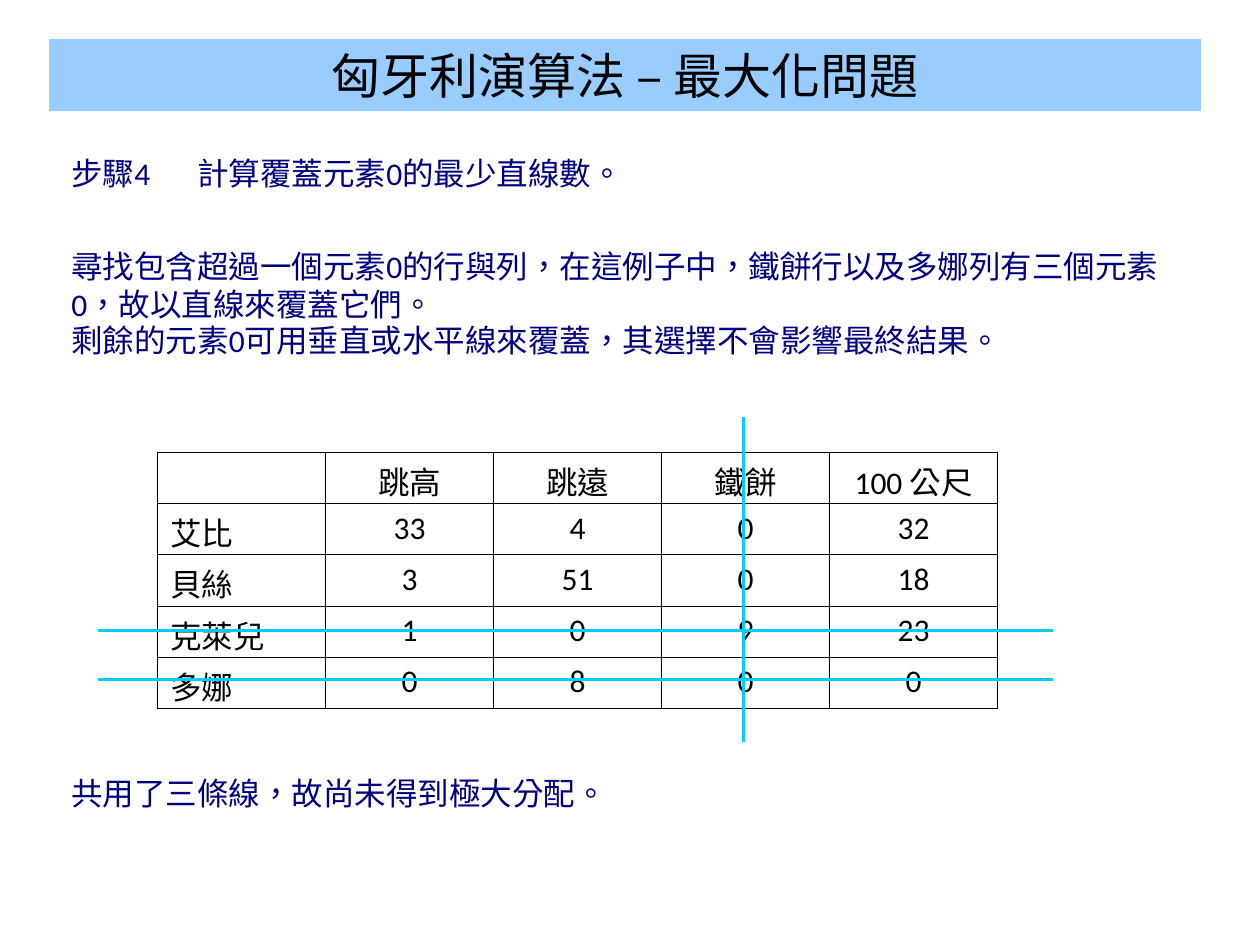
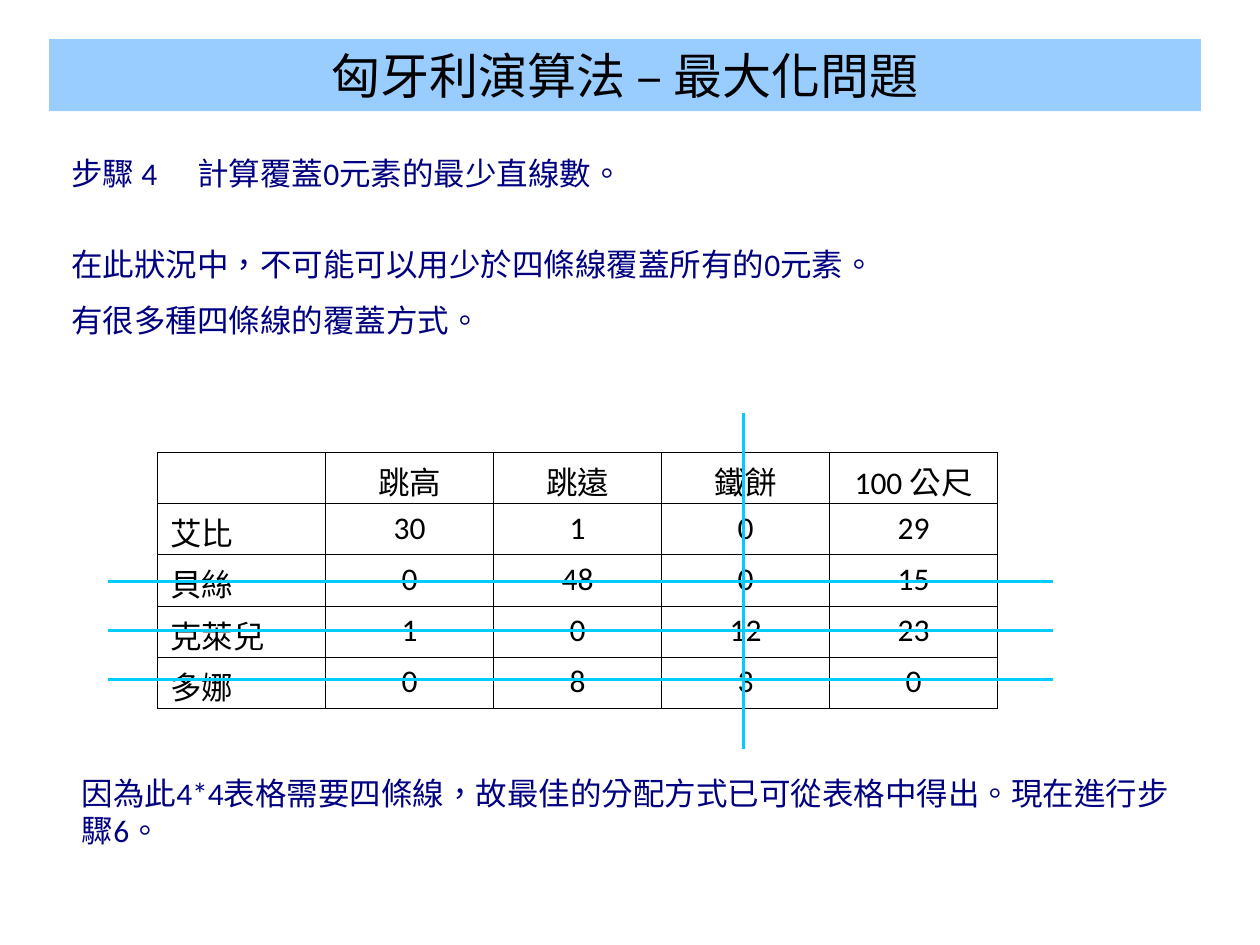
from lxml import etree
from pptx import Presentation
from pptx.dml.color import RGBColor
from pptx.enum.shapes import MSO_CONNECTOR
from pptx.enum.text import MSO_ANCHOR, MSO_AUTO_SIZE, PP_ALIGN
from pptx.oxml.ns import qn
from pptx.util import Cm, Pt

BLACK = RGBColor(0x00, 0x00, 0x00)
WHITE = RGBColor(0xFF, 0xFF, 0xFF)
NAVY = RGBColor(0x00, 0x00, 0x80)
BAND_BLUE = RGBColor(0x99, 0xCC, 0xFF)
COVER_CYAN = RGBColor(0x00, 0xCC, 0xFF)

FONT = "Calibri"
TITLE = "匈牙利演算法 – 最大化問題"
EVENTS = ["", "跳高", "跳遠", "鐵餅", "100 公尺"]
ATHLETES = ["艾比", "貝絲", "克萊兒", "多娜"]
TEXT_LEFT = 1.19

SLIDES = [
    dict(
        texts=[
            (TEXT_LEFT, 2.98, "步驟4\t計算覆蓋元素0的最少直線數。"),
            (TEXT_LEFT, 4.85, "尋找包含超過一個元素0的行與列，在這例子中，鐵餅行以及多娜列有三個元素0，"
                              "故以直線來覆蓋它們。"),
            (TEXT_LEFT, 6.35, "剩餘的元素0可用垂直或水平線來覆蓋，其選擇不會影響最終結果。"),
            (TEXT_LEFT, 15.47, "共用了三條線，故尚未得到極大分配。"),
        ],
        costs=[[33, 4, 0, 32], [3, 51, 0, 18], [1, 0, 9, 23], [0, 8, 0, 0]],
        covered_rows=[3, 4], row_line_left=1.98, column_line=(8.41, 14.96),
    ),
    dict(
        texts=[
            (TEXT_LEFT, 2.98, "步驟 4\t計算覆蓋0元素的最少直線數。"),
            (TEXT_LEFT, 4.81, "在此狀況中，不可能可以用少於四條線覆蓋所有的0元素。"),
            (TEXT_LEFT, 5.95, "有很多種四條線的覆蓋方式。"),
            (1.4, 15.47, "因為此4*4表格需要四條線，故最佳的分配方式已可從表格中得出。"
                         "現在進行步驟6。"),
        ],
        costs=[[30, 1, 0, 29], [0, 48, 0, 15], [1, 0, 12, 23], [0, 8, 3, 0]],
        covered_rows=[2, 3, 4], row_line_left=2.18, column_line=(8.33, 15.09),
    ),
]


def write(tf, text, *, size=18, color=BLACK, align=PP_ALIGN.LEFT):
    p = tf.paragraphs[0]
    p.alignment = align
    if "\t" in text:
        tabs = etree.SubElement(p._p.get_or_add_pPr(), qn("a:tabLst"))
        etree.SubElement(tabs, qn("a:tab"), pos=str(Cm(2.54)), algn="l")
    r = p.add_run()
    r.text = text
    r.font.name = FONT
    r.font.size = Pt(size)
    r.font.color.rgb = color
    r._r.get_or_add_rPr().set("lang", "zh-TW")


def add_borders(cell):
    tc_pr = cell._tc.get_or_add_tcPr()
    for i, side in enumerate(("a:lnL", "a:lnR", "a:lnT", "a:lnB")):
        ln = etree.Element(qn(side), w=str(Pt(0.45)))
        fill = etree.SubElement(ln, qn("a:solidFill"))
        etree.SubElement(fill, qn("a:srgbClr"), val=str(BLACK))
        tc_pr.insert(i, ln)


class Deck:
    def __init__(self):
        self.prs = Presentation()
        self.prs.slide_width, self.prs.slide_height = Cm(25.4), Cm(19.05)
        self.s = None

    def new_slide(self, title):
        self.s = self.prs.slides.add_slide(self.prs.slide_layouts[5])
        sp = self.s.shapes.title
        sp.left, sp.top, sp.width, sp.height = Cm(0.99), Cm(0.79), Cm(23.22), Cm(1.45)
        sp.fill.solid()
        sp.fill.fore_color.rgb = BAND_BLUE
        tf = sp.text_frame
        tf.auto_size = MSO_AUTO_SIZE.NONE
        tf.vertical_anchor = MSO_ANCHOR.MIDDLE
        write(tf, title, size=28, align=PP_ALIGN.CENTER)

    def text(self, left, top, text):
        sp = self.s.shapes.add_textbox(Cm(left), Cm(top), Cm(22.43), Cm(1.02))
        tf = sp.text_frame
        tf.word_wrap = True
        tf.auto_size = MSO_AUTO_SIZE.SHAPE_TO_FIT_TEXT
        write(tf, text, color=NAVY)

    def cost_table(self, costs):
        rows = [EVENTS] + [[name, *row] for name, row in zip(ATHLETES, costs)]
        table = self.s.shapes.add_table(len(rows), len(EVENTS), Cm(3.18), Cm(9.12),
                                        Cm(16.93), Cm(5.16)).table
        table.first_row = table.horz_banding = False
        for i, row in enumerate(rows):
            for j, value in enumerate(row):
                cell = table.cell(i, j)
                # Narrow margins keep the rows from growing past the cover lines
                cell.margin_top, cell.margin_bottom = Cm(0.11), Cm(0)
                cell.fill.solid()
                cell.fill.fore_color.rgb = WHITE
                add_borders(cell)
                write(cell.text_frame, str(value),
                      align=PP_ALIGN.CENTER if j else PP_ALIGN.LEFT)

    def line(self, x1, y1, x2, y2):
        line = self.s.shapes.add_connector(MSO_CONNECTOR.STRAIGHT,
                                           Cm(x1), Cm(y1), Cm(x2), Cm(y2))
        line.line.color.rgb = COVER_CYAN
        line.line.width = Pt(1.5)
        etree.SubElement(line._element.spPr, qn("a:effectLst"))

    def cover_row(self, row, left):
        y = 9.74 + 0.99 * row
        self.line(left, y, 21.23, y)

    def cover_discus_column(self, top, bottom):
        self.line(14.99, top, 14.99, bottom)


def main():
    deck = Deck()
    for content in SLIDES:
        deck.new_slide(TITLE)
        deck.cost_table(content["costs"])
        for left, top, text in content["texts"]:
            deck.text(left, top, text)
        for row in content["covered_rows"]:
            deck.cover_row(row, content["row_line_left"])
        deck.cover_discus_column(*content["column_line"])
    deck.prs.save("out.pptx")


if __name__ == "__main__":
    main()
